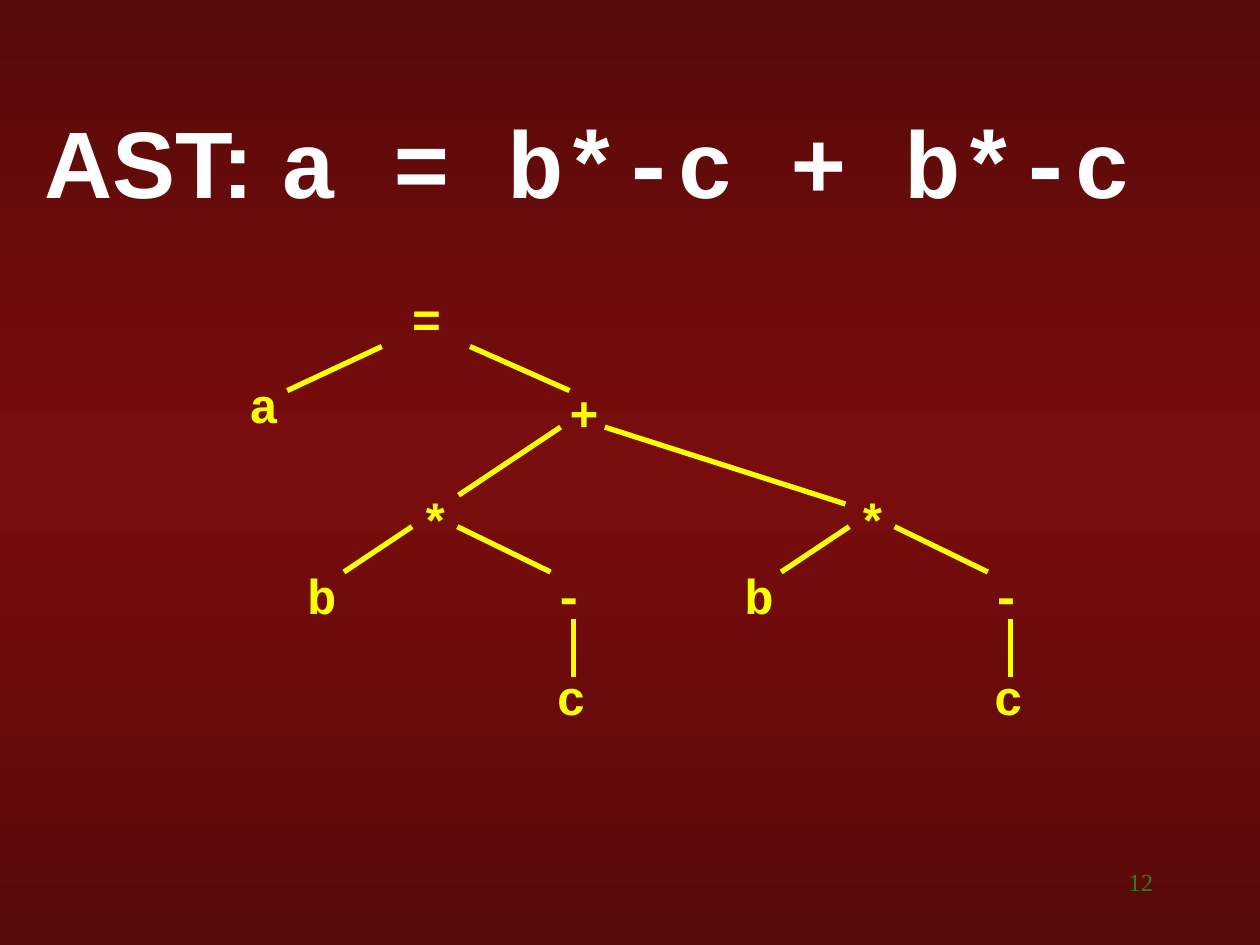
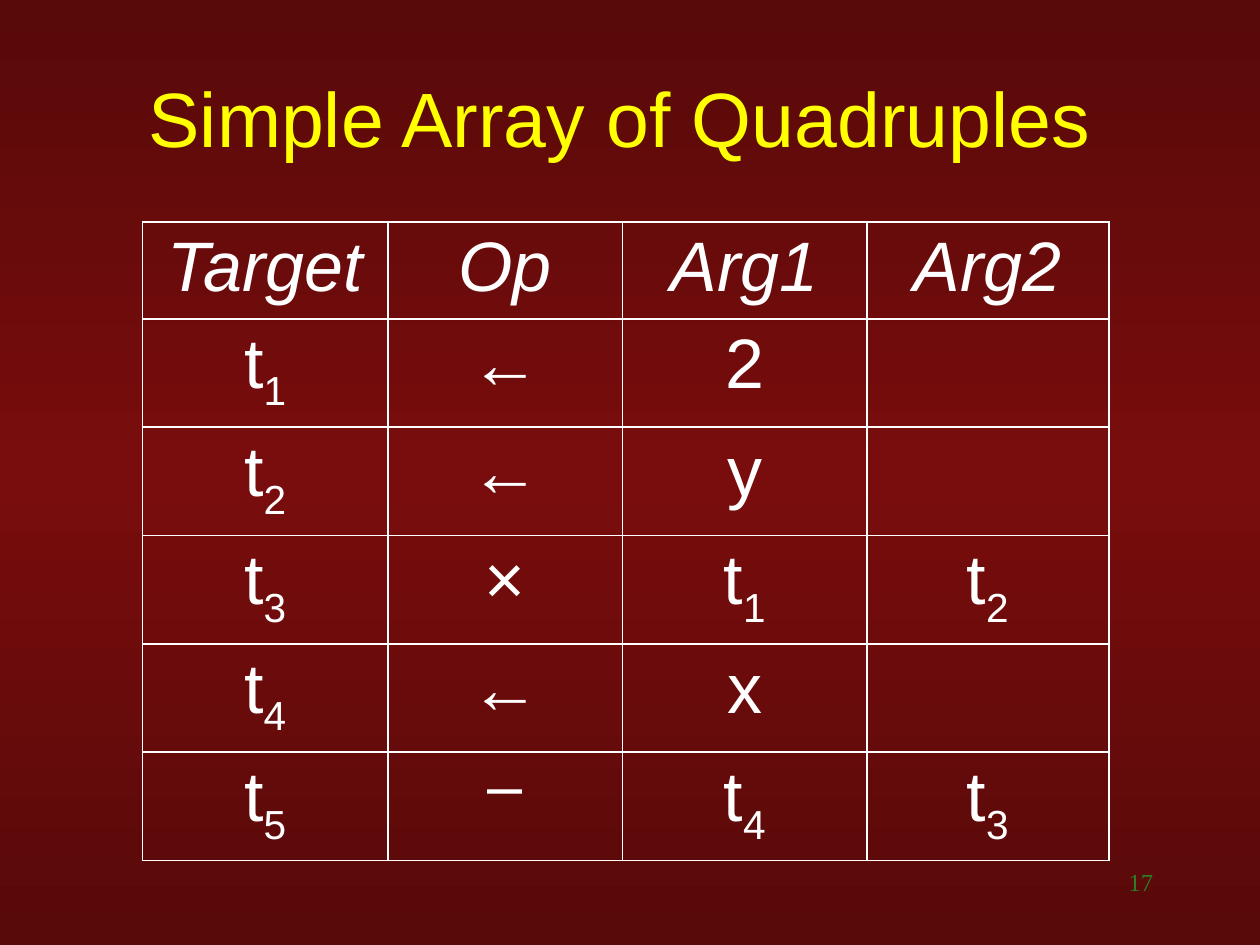
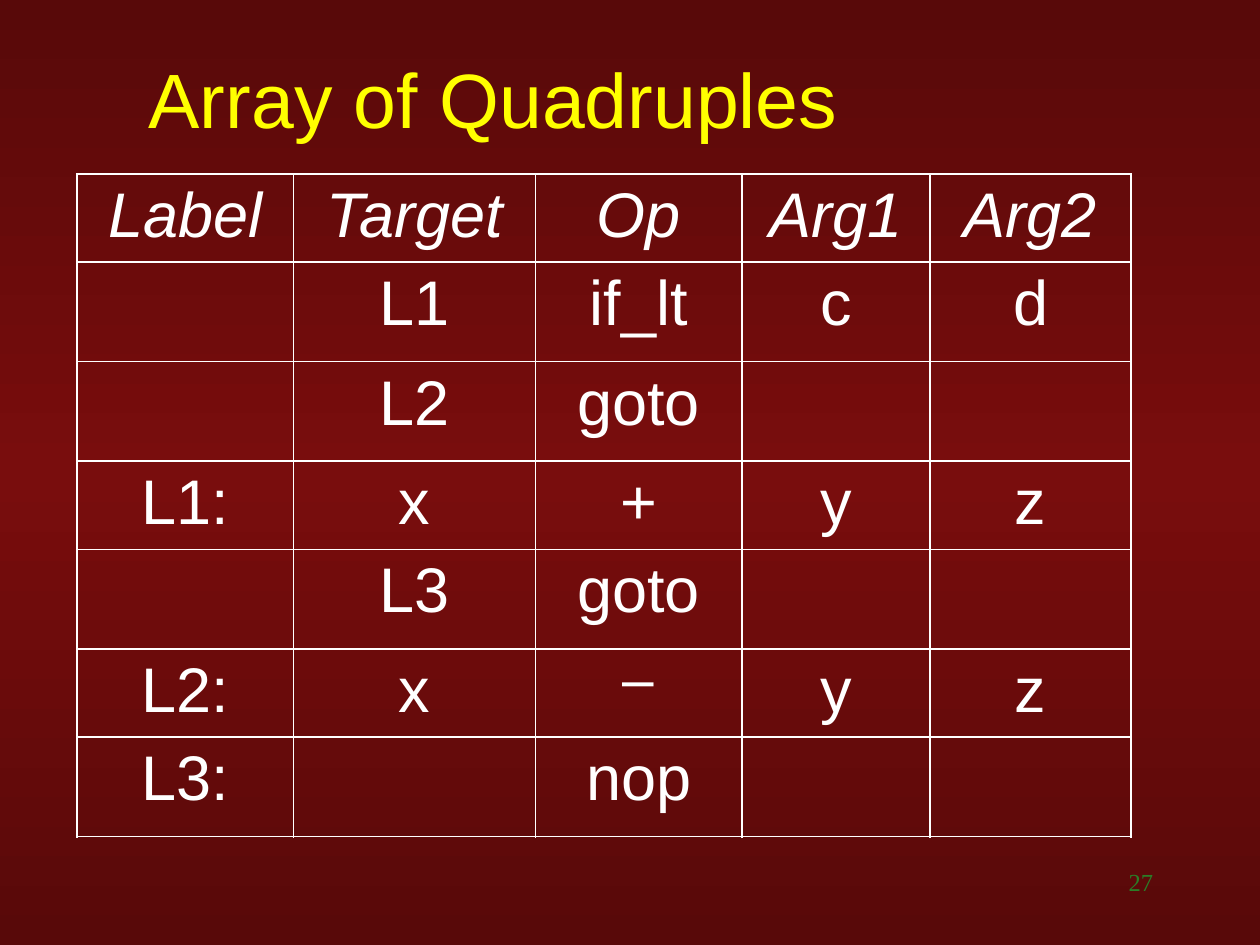
from copy import deepcopy

from lxml import etree
from pptx import Presentation
from pptx.dml.color import RGBColor
from pptx.enum.shapes import MSO_CONNECTOR
from pptx.enum.text import MSO_ANCHOR, MSO_AUTO_SIZE, PP_ALIGN
from pptx.oxml.ns import qn
from pptx.util import Inches, Pt

LEFT, CENTER, RIGHT = PP_ALIGN.LEFT, PP_ALIGN.CENTER, PP_ALIGN.RIGHT
TOP, MIDDLE = MSO_ANCHOR.TOP, MSO_ANCHOR.MIDDLE
STRAIGHT = MSO_CONNECTOR.STRAIGHT
TITLE_ONLY = 5

COLORS = {
    "edge": "580909",
    "glow": "790D0D",
    "white": "FFFFFF",
    "yellow": "FFFF00",
    "green": "2B7D27",
    "shadow": "000000",
}
SANS, MONO, SERIF, DASH = "Arial", "Courier New", "Times New Roman", "TeX Gyre Adventor"
NODE_W, NODE_H = 0.43, 0.57
BORDER = 1.08


def rgb(name):
    return RGBColor.from_string(COLORS[name])


def add_run(p, text, size, color, font=SANS, bold=False, italic=False,
            sub=False, shadow=False):
    r = p.add_run()
    r.text = text
    f = r.font
    f.size, f.name, f.bold, f.italic = Pt(size), font, bold, italic
    f.color.rgb = rgb(color)
    rPr = r._r.get_or_add_rPr()
    if sub:
        rPr.set("baseline", "-25000")
    if shadow:
        effects = etree.Element(qn("a:effectLst"))
        outer = etree.SubElement(effects, qn("a:outerShdw"), dist="25400", dir="2700000")
        etree.SubElement(outer, qn("a:srgbClr"), val=COLORS["shadow"])
        rPr.find(qn("a:solidFill")).addnext(effects)


def add_text(s, text, x, y, w, h, align=LEFT, wrap=True, **fmt):
    tf = s.shapes.add_textbox(*map(Inches, (x, y, w, h))).text_frame
    tf.word_wrap = wrap
    p = tf.paragraphs[0]
    p.alignment = align
    add_run(p, text, **fmt)


def paint_background(master):
    fill = master.background.fill
    fill.gradient()
    fill.gradient_angle = 90
    stops = master.element.xpath(".//p:bg//a:gsLst")[0]
    stops.insert(1, deepcopy(stops[0]))
    for stop, name, position in zip(fill.gradient_stops, ("edge", "glow", "edge"), (0, 0.5, 1)):
        stop.color.rgb = rgb(name)
        stop.position = position


def add_slide(prs, number, title_box, anchor=TOP, spacing=0.75):
    """Add a numbered slide; return it with its empty title paragraph."""
    s = prs.slides.add_slide(prs.slide_layouts[TITLE_ONLY])
    add_text(s, str(number), 7.17, 6.83, 2.08, 0.5, align=RIGHT,
             size=14, color="green", font=SERIF)
    title = s.shapes.title
    title.left, title.top, title.width, title.height = map(Inches, title_box)
    tf = title.text_frame
    tf.auto_size = MSO_AUTO_SIZE.NONE
    tf.vertical_anchor = anchor
    p = tf.paragraphs[0]
    p.alignment, p.line_spacing = LEFT, spacing
    return s, p


def draw_graph(s, x, y, nodes, edges):
    """Draw labels and lines given relative to the corner x, y."""
    for label, dx, dy in nodes:
        add_text(s, label, x + dx, y + dy, NODE_W, NODE_H, wrap=False,
                 size=28, color="yellow", font=MONO, bold=True)
    for x1, y1, x2, y2 in edges:
        line = s.shapes.add_connector(
            STRAIGHT, *map(Inches, (x + x1, y + y1, x + x2, y + y2)))
        line.line.color.rgb = rgb("yellow")
        line.line.width = Pt(3)
        etree.SubElement(line._element.spPr, qn("a:effectLst"))


def draw_product(s, x, y):
    """Draw the subtree of b*-c."""
    draw_graph(s, x, y,
               [("*", 0.9, 0), ("b", 0, 0.6), ("-", 1.96, 0.6), ("c", 1.98, 1.4)],
               [(0.93, 0.34, 0.39, 0.7), (1.29, 0.34, 2.03, 0.7),
                (2.21, 1.07, 2.21, 1.53)])


def draw_tree(s, x, y):
    draw_graph(s, x, y,
               [("=", 1.29, 0), ("a", 0, 0.68), ("+", 2.54, 0.75)],
               [(1.15, 0.51, 0.4, 0.86), (1.85, 0.51, 2.64, 0.86),
                (2.57, 1.15, 1.76, 1.69), (2.92, 1.15, 4.83, 1.76)])
    for dx in (0.46, 3.93):
        draw_product(s, x + dx, y + 1.6)


def set_borders(cell):
    tcPr = cell._tc.get_or_add_tcPr()
    for i, side in enumerate(("lnL", "lnR", "lnT", "lnB")):
        ln = etree.Element(qn(f"a:{side}"), w=str(Pt(BORDER)))
        fill = etree.SubElement(ln, qn("a:solidFill"))
        etree.SubElement(fill, qn("a:srgbClr"), val=COLORS["white"])
        tcPr.insert(i, ln)


def fill_cell(cell, content, size, italic):
    """Write a string, or a (base, subscript) pair, into a cell."""
    cell.fill.background()
    set_borders(cell)
    p = cell.text_frame.paragraphs[0]
    p.alignment = CENTER
    parts = content if isinstance(content, tuple) else (content,)
    for i, part in enumerate(parts):
        if part:
            add_run(p, part, size, "white", font=DASH if part == "–" else SANS,
                    italic=italic, sub=i > 0)


def add_grid(s, x, y, widths, heights, rows, size):
    box = map(Inches, (x, y, sum(widths), sum(heights)))
    table = s.shapes.add_table(len(rows), len(widths), *box).table
    table.first_row = table.horz_banding = False
    for column, w in zip(table.columns, widths):
        column.width = Inches(w)
    for i, (row, h, contents) in enumerate(zip(table.rows, heights, rows)):
        row.height = Inches(h)
        for cell, content in zip(row.cells, contents):
            fill_cell(cell, content, size, italic=i == 0)


def tree_slide(prs):
    s, p = add_slide(prs, 12, (0.25, 0.86, 9.2, 0.83), anchor=MIDDLE, spacing=1.0)
    for text, font in (("AST: ", SANS), ("a = b*-c + b*-c", MONO)):
        add_run(p, text, 54, "white", font=font, bold=True, shadow=True)
    draw_tree(s, 1.88, 2.24)


def table_slide(prs, number, title, title_y, **grid):
    s, p = add_slide(prs, number, (1.08, title_y, 8.58, 0.72))
    add_run(p, title, 44, "yellow")
    add_grid(s, **grid)


def main():
    prs = Presentation()
    prs.slide_width, prs.slide_height = Inches(10), Inches(7.5)
    paint_background(prs.slide_master)
    tree_slide(prs)

    t1, t2, t3, t4, t5 = (("t", str(n)) for n in range(1, 6))
    table_slide(prs, 17, "Simple Array of Quadruples", 0.68,
                x=1.13, y=1.76, size=40,
                widths=[1.95, 1.86, 1.94, 1.92], heights=[0.77] + [0.86] * 5,
                rows=[("Target", "Op", "Arg1", "Arg2"),
                      (t1, "←", "2", ""),
                      (t2, "←", "y", ""),
                      (t3, "×", t1, t2),
                      (t4, "←", "x", ""),
                      (t5, "–", t4, t3)])

    low, high = 0.7, 0.79
    table_slide(prs, 27, "Array of Quadruples", 0.53,
                x=0.61, y=1.38, size=36,
                widths=[1.72, 1.92, 1.64, 1.49, 1.6],
                heights=[low, high, high, low, high, low, high],
                rows=[("Label", "Target", "Op", "Arg1", "Arg2"),
                      ("", "L1", "if_lt", "c", "d"),
                      ("", "L2", "goto", "", ""),
                      ("L1:", "x", "+", "y", "z"),
                      ("", "L3", "goto", "", ""),
                      ("L2:", "x", "–", "y", "z"),
                      ("L3:", "", "nop", "", "")])
    prs.save("out.pptx")


if __name__ == "__main__":
    main()
